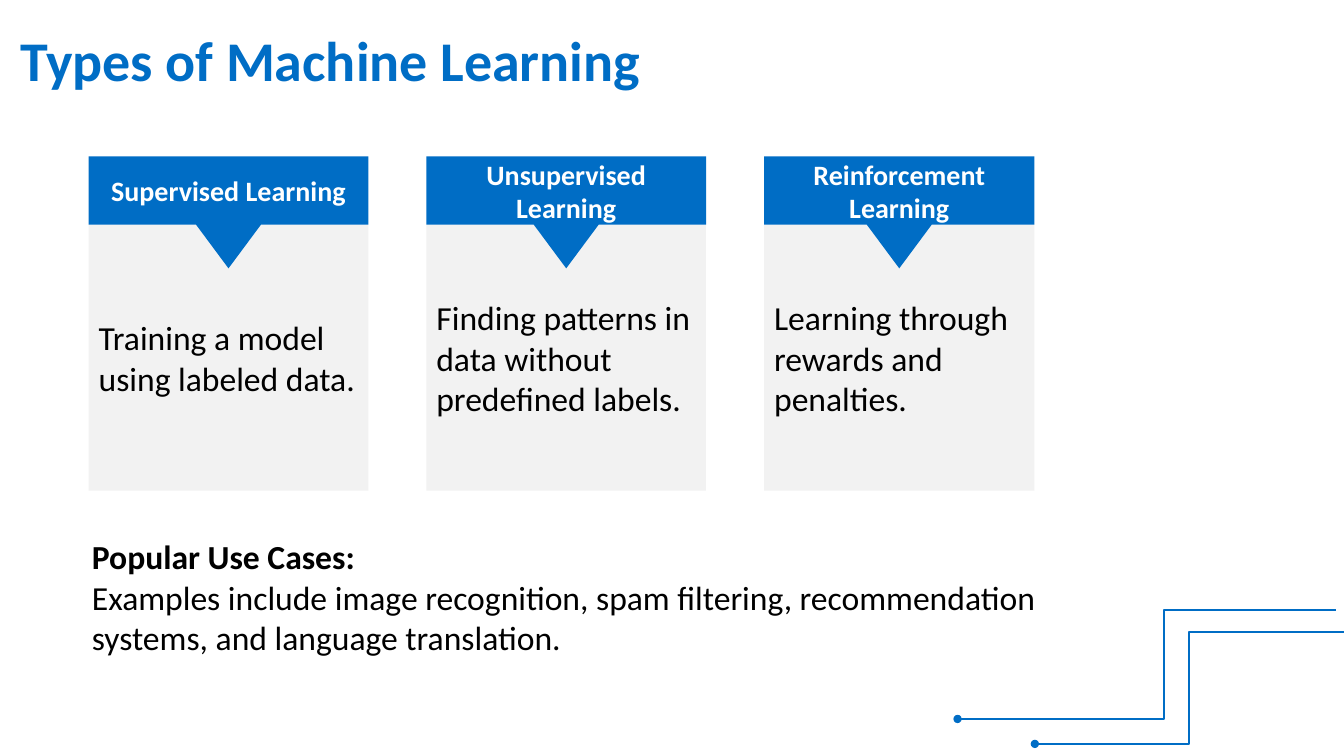
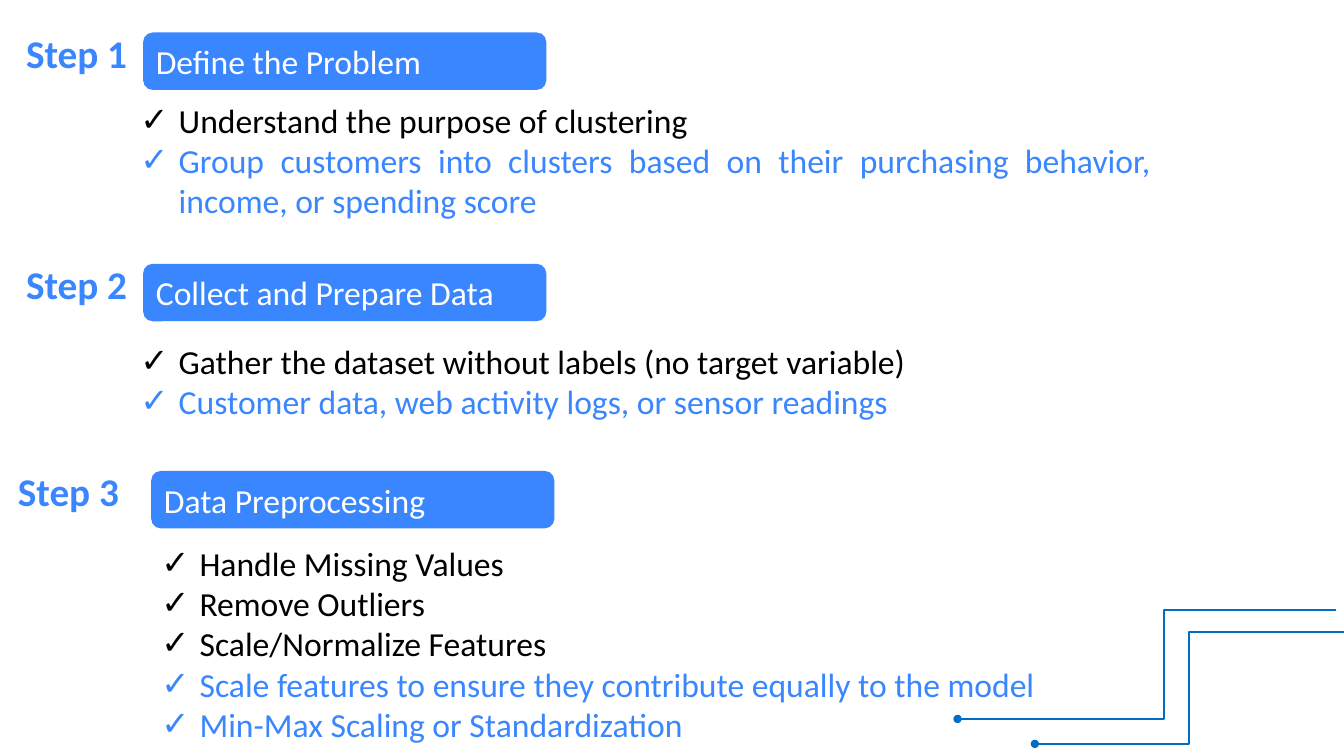
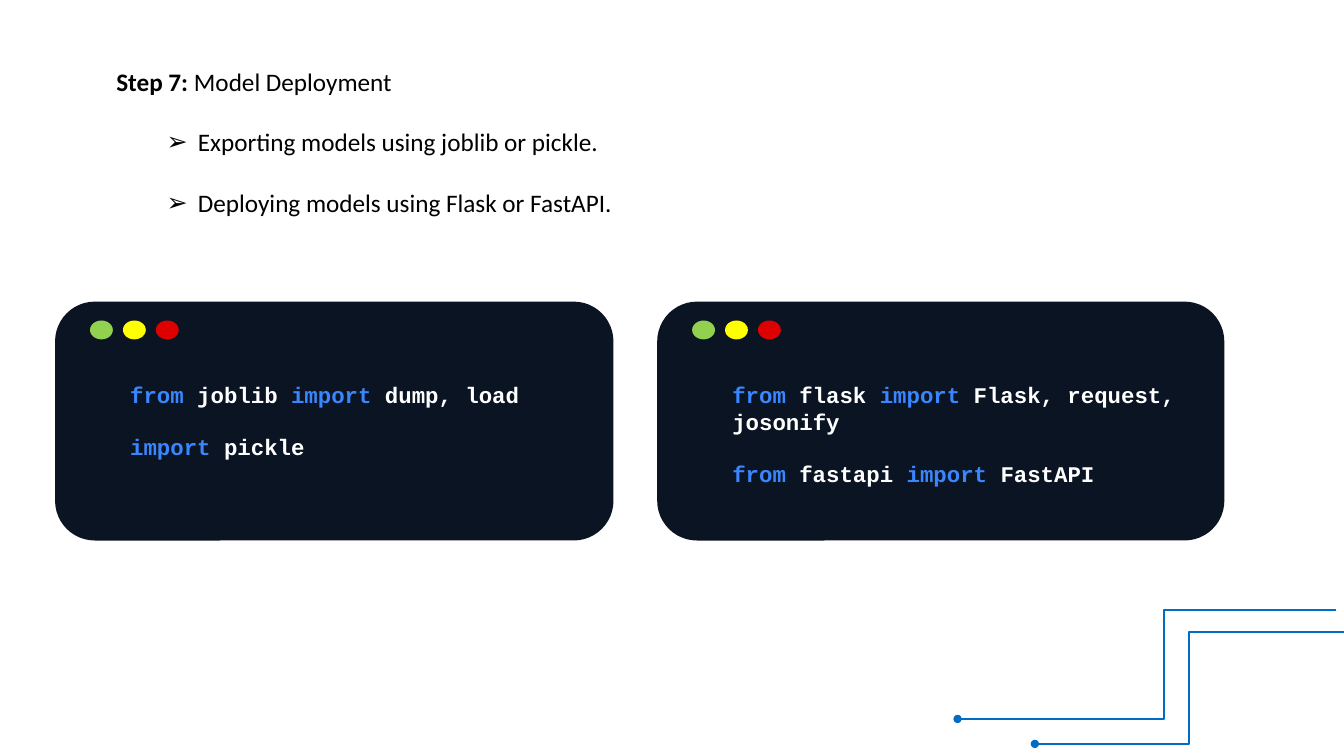
from pptx import Presentation
from pptx.dml.color import RGBColor
from pptx.enum.shapes import MSO_CONNECTOR, MSO_SHAPE
from pptx.enum.text import MSO_ANCHOR, MSO_AUTO_SIZE, PP_ALIGN
from pptx.oxml import parse_xml
from pptx.oxml.ns import nsdecls, qn
from pptx.util import Inches, Pt

RECTANGLE = MSO_SHAPE.RECTANGLE
ROUNDED = MSO_SHAPE.ROUNDED_RECTANGLE
CALLOUT = MSO_SHAPE.DOWN_ARROW_CALLOUT
OVAL = MSO_SHAPE.OVAL
ELBOW = MSO_CONNECTOR.ELBOW
LEFT, CENTER, JUSTIFY = PP_ALIGN.LEFT, PP_ALIGN.CENTER, PP_ALIGN.JUSTIFY
TOP, MIDDLE = MSO_ANCHOR.TOP, MSO_ANCHOR.MIDDLE
NO_AUTOFIT = MSO_AUTO_SIZE.NONE

BLUE = RGBColor(0x00, 0x6D, 0xC5)
BRIGHT = RGBColor(0x3A, 0x86, 0xFF)
GRAY = RGBColor(0xF2, 0xF2, 0xF2)
NAVY = RGBColor(0x0B, 0x14, 0x23)
BLACK = RGBColor(0x00, 0x00, 0x00)
WHITE = RGBColor(0xFF, 0xFF, 0xFF)
GREEN = RGBColor(0x92, 0xD0, 0x50)
YELLOW = RGBColor(0xFF, 0xFF, 0x00)
RED = RGBColor(0xDE, 0x00, 0x00)
BODY_FONT, CODE_FONT = "Calibri", "Courier New"

presentation = Presentation()
presentation.slide_width = Inches(13.33)
presentation.slide_height = Inches(7.5)
COLUMN = presentation.slide_width / 100
ROW = presentation.slide_height / 100


def place(shape, left, top, width, height, fill=None, anchor=TOP):
    shape.left, shape.top = int(left * COLUMN), int(top * ROW)
    shape.width, shape.height = int(width * COLUMN), int(height * ROW)
    if fill is not None:
        shape.shadow.inherit = False
        shape.fill.solid()
        shape.fill.fore_color.rgb = fill
        shape.line.fill.background()
    frame = shape.text_frame
    frame.word_wrap = True
    frame.auto_size = NO_AUTOFIT
    frame.vertical_anchor = anchor
    frame.paragraphs[0].alignment = LEFT
    return frame


def write(paragraph, text, size, color, bold=False, font=BODY_FONT):
    run = paragraph.add_run()
    run.text = text
    run.font.name = font
    run.font.size = Pt(size)
    run.font.bold = bold
    run.font.color.rgb = color


layouts = presentation.slide_layouts
types_slide = presentation.slides.add_slide(layouts[5])
steps_slide = presentation.slides.add_slide(layouts[4])
deployment_slide = presentation.slides.add_slide(layouts[1])
bulleted = []

circuit_lines = [(99.4, 80.7, 71.25, 95.1, 45500), (100, 83.6, 77, 98.4, 50000)]
for slide in presentation.slides:
    for start_x, start_y, end_x, end_y, bend in circuit_lines:
        connector = slide.shapes.add_connector(
            ELBOW, int(start_x * COLUMN), int(start_y * ROW),
            int(end_x * COLUMN), int(end_y * ROW))
        connector.line.color.rgb = BLUE
        connector.line.width = Pt(1.5)
        connector.line._get_or_add_ln().append(
            parse_xml(f'<a:tailEnd {nsdecls("a")} type="oval"/>'))
        properties = connector._element.spPr
        properties.append(parse_xml(f'<a:effectLst {nsdecls("a")}/>'))
        geometry = properties.find(qn("a:prstGeom"))
        for child in list(geometry):
            geometry.remove(child)
        geometry.append(parse_xml(
            f'<a:avLst {nsdecls("a")}><a:gd name="adj1" fmla="val {bend}"/></a:avLst>'))

frame = place(types_slide.shapes.title, 0.75, 2.67, 81.9, 10.3)
write(frame.paragraphs[0], "Types of Machine Learning", 40, BLUE, True)

cards = [
    ("Supervised Learning", "Training a model using labeled data.", 20.8),
    ("Unsupervised Learning", "Finding patterns in data without predefined labels.", 20.8),
    ("Reinforcement Learning", "Learning through rewards and penalties.", 20.1),
]
for index, (heading, description, width) in enumerate(cards):
    left = 6.6 + index * 25.13
    panel = types_slide.shapes.add_shape(RECTANGLE, 0, 0, 0, 0)
    frame = place(panel, left, 29.7, width, 35.2, GRAY, MIDDLE)
    write(frame.paragraphs[0], description, 24, BLACK)
    header = types_slide.shapes.add_shape(CALLOUT, 0, 0, 0, 0)
    for position, value in enumerate((0, 0.29, 0.39, 0.61)):
        header.adjustments[position] = value
    frame = place(header, left, 20.7, width, 14.8, BLUE, MIDDLE)
    frame.paragraphs[0].alignment = CENTER
    write(frame.paragraphs[0], heading, 20, WHITE, True)

frame = place(types_slide.shapes.add_textbox(0, 0, 0, 0), 6.1, 70.3, 77.25, 17.5)
write(frame.paragraphs[0], "Popular Use Cases:", 24, BLACK, True)
write(frame.add_paragraph(),
      "Examples include image recognition, spam filtering, recommendation "
      "systems, and language translation.", 24, BLACK)

steps = [
    ("Define the Problem", 1.2, 10.65, 4.3, (9.7, 12.5, 76.7, 17.5), JUSTIFY,
     [("Understand the purpose of clustering", BLACK),
      ("Group customers into clusters based on their purchasing behavior, "
       "income, or spending score", BRIGHT)]),
    ("Collect and Prepare Data", 1.2, 10.65, 34.9, (9.7, 44.4, 82.6, 12.1), LEFT,
     [("Gather the dataset without labels (no target variable)", BLACK),
      ("Customer data, web activity logs, or sensor readings", BRIGHT)]),
    ("Data Preprocessing", 0.6, 11.25, 62.3, (11.25, 71.1, 82.6, 28.3), LEFT,
     [("Handle Missing Values", BLACK),
      ("Remove Outliers", BLACK),
      ("Scale/Normalize Features", BLACK),
      ("Scale features to ensure they contribute equally to the model", BRIGHT),
      ("Min-Max Scaling or Standardization", BRIGHT)]),
]
for number, (name, label_left, pill_left, top, area, alignment, items) in enumerate(steps, 1):
    pill = steps_slide.shapes.add_shape(ROUNDED, 0, 0, 0, 0)
    frame = place(pill, pill_left, top, 30, 7.6, BRIGHT, MIDDLE)
    write(frame.paragraphs[0], name, 24, WHITE)
    label = steps_slide.shapes.add_textbox(0, 0, 0, 0)
    frame = place(label, label_left, top - 1.1, 10.65, 7.6)
    write(frame.paragraphs[0], f"Step {number}", 28, BRIGHT, True)
    frame = place(steps_slide.placeholders[number], *area)
    for index, (text, color) in enumerate(items):
        paragraph = frame.add_paragraph() if index else frame.paragraphs[0]
        paragraph.alignment = alignment
        write(paragraph, text, 24, color)
        bulleted.append((paragraph, "✓", 0.38, 0.38))

for unused in (steps_slide.shapes.title, steps_slide.placeholders[4]):
    unused._element.getparent().remove(unused._element)

frame = place(deployment_slide.shapes.title, 7.9, 4.1, 78, 9.3)
frame.paragraphs[0].line_spacing = 2.0
write(frame.paragraphs[0], "Step 7: ", 18, BLACK, True)
write(frame.paragraphs[0], "Model Deployment", 18, BLACK)

frame = place(deployment_slide.placeholders[1], 7.9, 12.1, 78, 16.4)
for index, text in enumerate(("Exporting models using joblib or pickle.",
                              "Deploying models using Flask or FastAPI.")):
    paragraph = frame.add_paragraph() if index else frame.paragraphs[0]
    paragraph.line_spacing = 2.0
    write(paragraph, text, 18, BLACK)
    bulleted.append((paragraph, "➢", 0.81, 0.31))

terminals = [
    (4.1, 41.55, [
        (0, [("from ", BRIGHT), ("joblib ", WHITE), ("import", BRIGHT), (" dump, load", WHITE)]),
        (18, [("import ", BRIGHT), ("pickle", WHITE)])]),
    (48.9, 42.2, [
        (0, [("from ", BRIGHT), ("flask ", WHITE), ("import", BRIGHT),
             (" Flask, request,", WHITE)]),
        (0, [("josonify", WHITE)]),
        (18, [("from ", BRIGHT), ("fastapi ", WHITE), ("import", BRIGHT),
              (" FastAPI", WHITE)])]),
]
for left, width, lines in terminals:
    window = deployment_slide.shapes.add_shape(ROUNDED, 0, 0, 0, 0)
    frame = place(window, left, 39.9, width, 31.6, NAVY)
    frame.margin_left, frame.margin_top = Inches(0.63), Inches(0.67)
    for index, (gap, runs) in enumerate(lines):
        paragraph = frame.add_paragraph() if index else frame.paragraphs[0]
        paragraph.alignment = LEFT
        paragraph.space_before = Pt(gap)
        for text, color in runs:
            write(paragraph, text, 16, color, True, CODE_FONT)
    for index, color in enumerate((GREEN, YELLOW, RED)):
        button = deployment_slide.shapes.add_shape(OVAL, 0, 0, 0, 0)
        place(button, left + 2.6 + index * 2.45, 42.4, 1.7, 2.5, color)

for paragraph, symbol, margin, hanging in bulleted:
    paragraph.space_before = Pt(0)
    properties = paragraph._p.get_or_add_pPr()
    properties.set("marL", str(Inches(margin)))
    properties.set("indent", str(-Inches(hanging)))
    properties.append(parse_xml(f'<a:buFont {nsdecls("a")} typeface="Arial"/>'))
    properties.append(parse_xml(f'<a:buChar {nsdecls("a")} char="{symbol}"/>'))

presentation.save("out.pptx")
